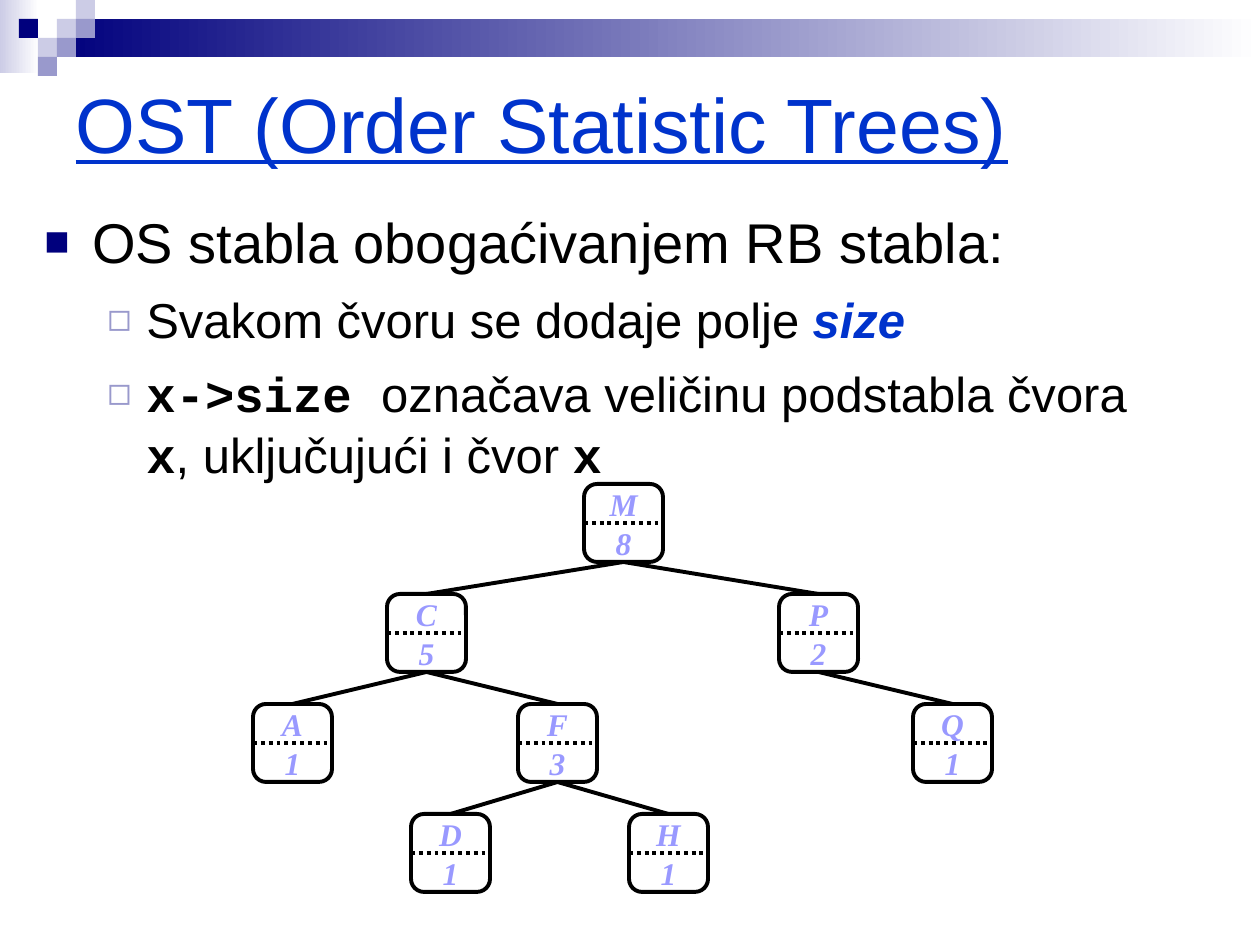
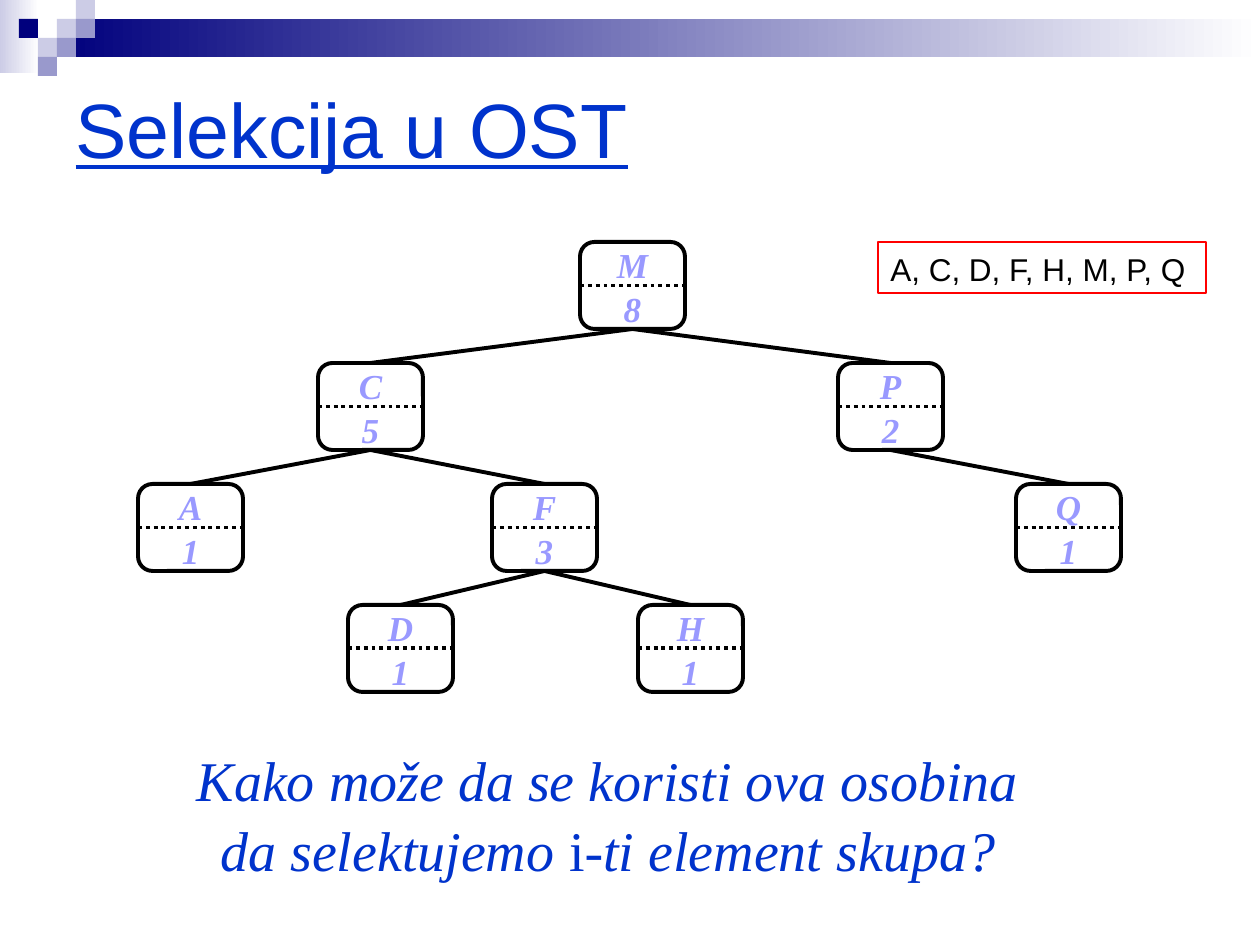
from dataclasses import dataclass
from typing import NamedTuple, Optional

from lxml.etree import SubElement
from pptx import Presentation
from pptx.dml.color import RGBColor
from pptx.enum.dml import MSO_LINE
from pptx.enum.shapes import MSO_CONNECTOR, MSO_SHAPE as Preset
from pptx.enum.text import MSO_ANCHOR as Anchor, MSO_AUTO_SIZE as AutoSize, PP_ALIGN as Align
from pptx.oxml.ns import qn
from pptx.util import Emu, Pt

PX_PER_INCH = 126
WIDTH, HEIGHT = 1260, 945
TITLE_ONLY = 5
LINE_SPACING = 1.04
TOP, LEFT, BOTTOM, RIGHT = range(4)

COLORS = {
    "navy": "00007D",
    "lavender": "9999CC",
    "pale": "CCCCE6",
    "white": "FFFFFF",
    "blue": "0033CC",
    "node": "9999FF",
    "black": "000000",
    "red": "FF0000",
}
SANS, SERIF, MONO = "Arial", "Times New Roman", "Courier New"


class Box(NamedTuple):
    left: int
    top: int
    width: int
    height: int


class Style(NamedTuple):
    font: str
    size: int
    color: str
    bold: Optional[bool] = None
    italic: Optional[bool] = None
    underline: Optional[bool] = None


class Span(NamedTuple):
    text: str
    font: Optional[str] = None
    color: Optional[str] = None
    bold: Optional[bool] = None
    italic: Optional[bool] = None


class Bullet(NamedTuple):
    char: str
    color: str
    percent: int
    margin: int
    hanging: int
    size: int
    space_before: int


class Node(NamedTuple):
    key: str
    size: int
    offset: int  # from the root, for nodes of REFERENCE_WIDTH
    depth: int
    parent: Optional[str] = None


@dataclass(frozen=True)
class TreeLayout:
    root_x: int
    top: int
    node_width: int
    node_height: int
    level_step: int
    font_size: int


GRID = 19
# column, row, colour
MOSAIC = [
    (3, 1, "pale"), (4, 0, "pale"), (4, 1, "lavender"), (2, 2, "pale"),
    (1, 1, "navy"), (3, 2, "lavender"), (2, 3, "lavender"),
]
REFERENCE_WIDTH = 105
TREE = [
    Node("M", 8, 0, 0),
    Node("C", 5, -262, 1, "M"),
    Node("P", 2, 258, 1, "M"),
    Node("A", 1, -441, 2, "C"),
    Node("F", 3, -88, 2, "C"),
    Node("Q", 1, 437, 2, "P"),
    Node("D", 1, -231, 3, "F"),
    Node("H", 1, 59, 3, "F"),
]
MAIN = Bullet("■", "navy", 75, 48, 48, 32, 8)
SUB = Bullet("◻", "lavender", 80, 102, 39, 28, 7)
OUTLINE = [
    (MAIN, [Span("OS stabla obogaćivanjem RB stabla:")]),
    (SUB, [Span("Svakom čvoru se dodaje polje "),
           Span("size", color="blue", bold=True, italic=True)]),
    (SUB, [Span("x->size ", MONO, bold=True),
           Span("označava veličinu podstabla čvora "),
           Span("x", MONO, bold=True),
           Span(", uključujući i čvor "),
           Span("x", MONO, bold=True)]),
]


def px(length: int) -> Emu:
    return Emu(round(length * 914400 / PX_PER_INCH))


def rgb(name: str) -> RGBColor:
    return RGBColor.from_string(COLORS[name])


def emu_box(box: Box) -> list:
    return [px(length) for length in box]


def style_paragraph(paragraph, style: Style, align=Align.LEFT) -> None:
    paragraph.alignment = align
    paragraph.line_spacing = LINE_SPACING
    font = paragraph.font
    font.name, font.size = style.font, Pt(style.size)
    font.color.rgb = rgb(style.color)
    font.bold, font.italic, font.underline = style.bold, style.italic, style.underline


def add_span(paragraph, span: Span) -> None:
    """Add a run that states only what differs from its paragraph."""
    run = paragraph.add_run()
    run.text = span.text
    if span.font:
        run.font.name = span.font
    if span.color:
        run.font.color.rgb = rgb(span.color)
    run.font.bold, run.font.italic = span.bold, span.italic


def add_bullet(paragraph, bullet: Bullet) -> None:
    props = paragraph._p.get_or_add_pPr()
    props.set("marL", str(px(bullet.margin)))
    props.set("indent", str(-px(bullet.hanging)))
    color = SubElement(props, qn("a:buClr"))
    SubElement(color, qn("a:srgbClr"), val=COLORS[bullet.color])
    SubElement(props, qn("a:buSzPct"), val=str(bullet.percent * 1000))
    SubElement(props, qn("a:buFont"), typeface=SANS)
    SubElement(props, qn("a:buChar"), char=bullet.char)


def add_panel(slide, preset, box: Box, fill: Optional[str] = None, fade: bool = False):
    """Add a shape without outline; fade runs its fill to white on the right."""
    panel = slide.shapes.add_shape(preset, *emu_box(box))
    panel.shadow.inherit = False
    panel.line.fill.background()
    if fade:
        panel.fill.gradient()
        panel.fill.gradient_angle = 0
        for stop, name in zip(panel.fill.gradient_stops, (fill, "white")):
            stop.color.rgb = rgb(name)
    elif fill:
        panel.fill.solid()
        panel.fill.fore_color.rgb = rgb(fill)
    else:
        panel.fill.background()
    return panel


def set_line(line, color: str, points: float) -> None:
    line.color.rgb = rgb(color)
    line.width = Pt(points)


def join(slide, start, start_site: int, end, end_site: int, dotted: bool = False) -> None:
    connector = slide.shapes.add_connector(MSO_CONNECTOR.STRAIGHT, 0, 0, 0, 0)
    connector.begin_connect(start, start_site)
    connector.end_connect(end, end_site)
    set_line(connector.line, "black", 2.25)
    if dotted:
        connector.line.dash_style = MSO_LINE.ROUND_DOT
    SubElement(connector._element.spPr, qn("a:effectLst"))


def add_titled_slide(deck, title: str, title_height: int):
    slide = deck.slides.add_slide(deck.slide_layouts[TITLE_ONLY])
    add_panel(slide, Preset.RECTANGLE, Box(0, 0, 39, 73), "pale", fade=True)
    band = Box(3 * GRID, GRID, WIDTH - 3 * GRID, 2 * GRID)
    add_panel(slide, Preset.RECTANGLE, band, "navy", fade=True)
    for column, row, color in MOSAIC:
        tile = Box(column * GRID, row * GRID, GRID, GRID)
        add_panel(slide, Preset.RECTANGLE, tile, color)

    heading = slide.shapes.title
    heading.left, heading.top, heading.width, heading.height = emu_box(
        Box(63, 63, 1134, title_height))
    frame = heading.text_frame
    frame.text = title
    frame.auto_size = AutoSize.NONE
    frame.vertical_anchor = Anchor.MIDDLE
    style_paragraph(frame.paragraphs[0], Style(SANS, 44, "blue", underline=True))
    return slide


def add_node(slide, node: Node, layout: TreeLayout):
    scale = layout.node_width / REFERENCE_WIDTH
    center = layout.root_x + node.offset * scale
    box = Box(round(center - layout.node_width / 2),
              layout.top + node.depth * layout.level_step,
              layout.node_width, layout.node_height)
    card = add_panel(slide, Preset.ROUNDED_RECTANGLE, box)
    set_line(card.line, "black", 2.25)
    frame = card.text_frame
    frame.word_wrap = False
    frame.vertical_anchor = Anchor.MIDDLE
    frame.margin_top = frame.margin_bottom = 0
    label = frame.paragraphs[0]
    label.text = f"{node.key}\n{node.size}"
    style_paragraph(label, Style(SERIF, layout.font_size, "node", bold=True, italic=True),
                    Align.CENTER)
    join(slide, card, LEFT, card, RIGHT, dotted=True)
    return card


def add_tree(slide, layout: TreeLayout) -> None:
    cards = {node.key: add_node(slide, node, layout) for node in TREE}
    for node in TREE:
        if node.parent:
            join(slide, cards[node.parent], BOTTOM, cards[node.key], TOP)


def add_text_frame(slide, box: Box):
    frame = slide.shapes.add_textbox(*emu_box(box)).text_frame
    frame.word_wrap = True
    return frame


def add_outline(slide) -> None:
    frame = add_text_frame(slide, Box(32, 199, 1134, 536))
    for index, (bullet, spans) in enumerate(OUTLINE):
        paragraph = frame.add_paragraph() if index else frame.paragraphs[0]
        add_bullet(paragraph, bullet)
        if index:
            paragraph.space_before = Pt(bullet.space_before)
        style_paragraph(paragraph, Style(SANS, bullet.size, "black"))
        for span in spans:
            add_span(paragraph, span)


def add_sorted_keys(slide) -> None:
    keys = add_panel(slide, Preset.RECTANGLE, Box(878, 242, 328, 51))
    set_line(keys.line, "red", 0.75)
    frame = keys.text_frame
    frame.word_wrap = True
    frame.vertical_anchor = Anchor.TOP
    frame.text = ", ".join(sorted(node.key for node in TREE))
    style_paragraph(frame.paragraphs[0], Style(SANS, 18, "black"))


def add_question(slide) -> None:
    frame = add_text_frame(slide, Box(184, 737, 876, 147))
    frame.margin_left = frame.margin_right = 0
    first, second = frame.paragraphs[0], frame.add_paragraph()
    first._p.get_or_add_pPr().set("marR", str(px(28)))
    for line in (first, second):
        style_paragraph(line, Style(SERIF, 32, "blue", italic=True), Align.CENTER)
    add_span(first, Span("Kako može da se koristi ova osobina"))
    for span in (Span("da selektujemo "), Span("i-", italic=False),
                 Span("ti element skupa?")):
        add_span(second, span)


def main() -> None:
    deck = Presentation()
    deck.slide_width, deck.slide_height = px(WIDTH), px(HEIGHT)

    definition = add_titled_slide(deck, "OST (Order Statistic Trees)", 116)
    add_outline(definition)
    add_tree(definition, TreeLayout(624, 484, 79, 78, 110, 18))

    selection = add_titled_slide(deck, "Selekcija u OST", 126)
    add_tree(selection, TreeLayout(632, 242, REFERENCE_WIDTH, 87, 121, 20))
    add_question(selection)
    add_sorted_keys(selection)

    deck.save("out.pptx")


if __name__ == "__main__":
    main()
